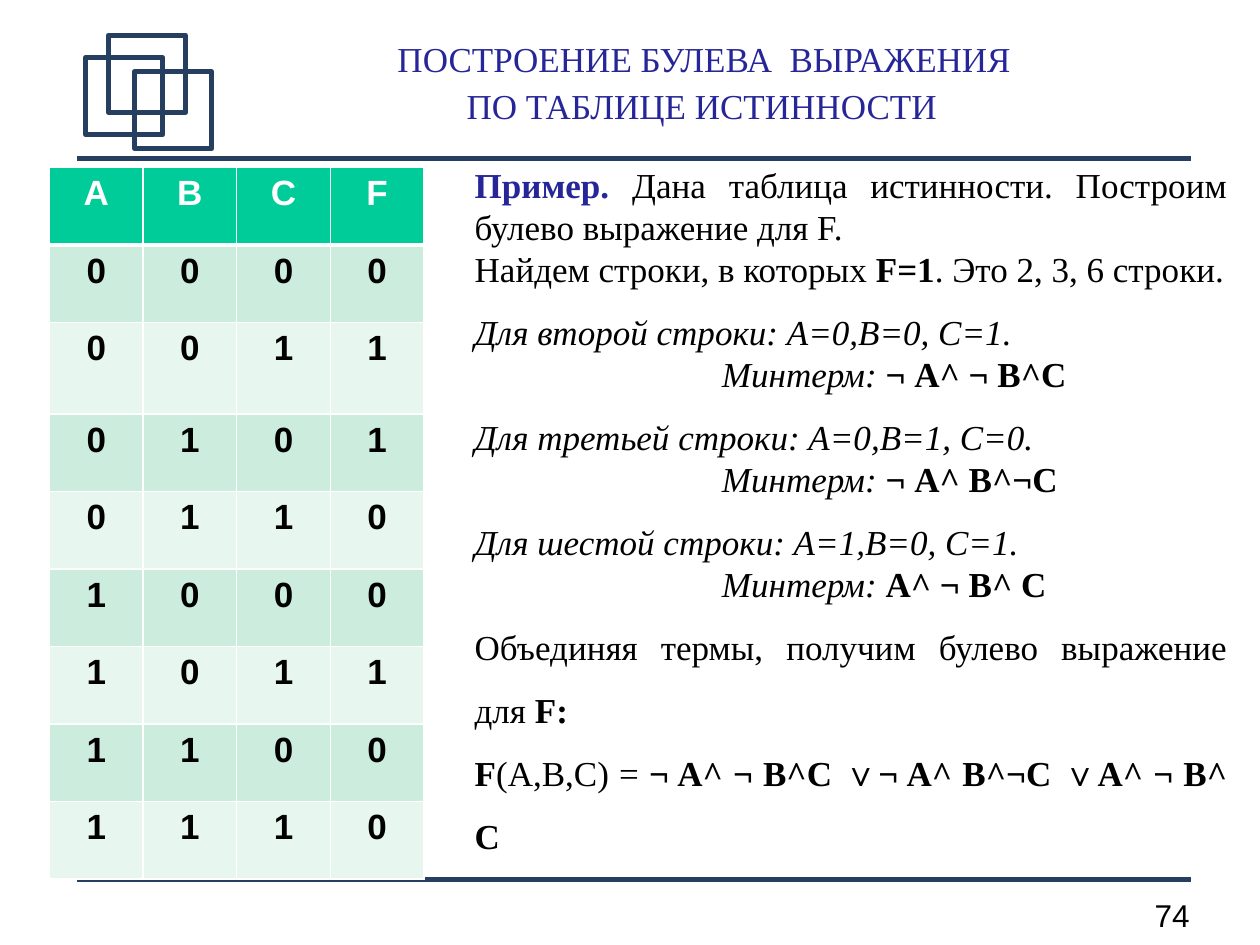
from dataclasses import dataclass

from lxml.etree import SubElement
from pptx import Presentation
from pptx.dml.color import RGBColor
from pptx.enum.shapes import MSO_CONNECTOR, MSO_SHAPE
from pptx.enum.text import MSO_ANCHOR, PP_ALIGN
from pptx.oxml.ns import qn
from pptx.util import Pt

COLORS = {
    "frame": "263E60", "heading": "262699", "ink": "000000", "white": "FFFFFF",
    "header": "00CC99", "odd": "CCECDE", "even": "E7F6EF",
}
SERIF, SANS = "Times New Roman", "Arial"
FRAME_WIDTH = 2.83
TRUTH_TABLE = ["ABCF", "0000", "0011", "0101", "0110", "1000", "1011", "1100", "1110"]
COLUMN_WIDTH, ROW_HEIGHT, TALL_ROW_HEIGHT = 53.5, 44.3, 52.3
TALL_ROW = 2


@dataclass
class Run:
    text: str
    bold: bool = False
    italic: bool = False
    font: str = SERIF
    color: str = "ink"
    size: float = 20


@dataclass
class Para:
    runs: list[Run]
    align: PP_ALIGN = PP_ALIGN.JUSTIFY
    spacing: float = 1.0
    indent: float = 0


@dataclass
class Minterm:
    row: str
    values: str
    formula: str


MINTERMS = [
    Minterm("второй", "A=0,B=0, C=1", "¬ A^ ¬ B^C"),
    Minterm("третьей", "A=0,B=1, C=0", "¬ A^ B^¬C"),
    Minterm("шестой", "A=1,B=0, C=1", "A^ ¬ B^ C"),
]


def rgb(name: str) -> RGBColor:
    return RGBColor.from_string(COLORS[name])


def add_run(paragraph, run: Run) -> None:
    part = paragraph.add_run()
    part.text = run.text
    font = part.font
    font.name, font.size = run.font, Pt(run.size)
    font.bold, font.italic = run.bold, run.italic
    font.color.rgb = rgb(run.color)


def add_text(slide, left: float, top: float, width: float, height: float,
             paras: list[Para], anchor: MSO_ANCHOR = MSO_ANCHOR.TOP) -> None:
    frame = slide.shapes.add_textbox(Pt(left), Pt(top), Pt(width), Pt(height)).text_frame
    frame.word_wrap = True
    frame.vertical_anchor = anchor
    for index, para in enumerate(paras):
        paragraph = frame.add_paragraph() if index else frame.paragraphs[0]
        paragraph.alignment, paragraph.line_spacing = para.align, para.spacing
        if para.indent:
            paragraph._p.get_or_add_pPr().set("marL", str(Pt(para.indent)))
        for run in para.runs:
            if run.text == "\n":
                paragraph.add_line_break()
            else:
                add_run(paragraph, run)


def add_rule(slide, y: float) -> None:
    rule = slide.shapes.add_connector(MSO_CONNECTOR.STRAIGHT, Pt(44), Pt(y), Pt(680.4), Pt(y))
    rule.line.color.rgb, rule.line.width = rgb("frame"), Pt(FRAME_WIDTH)
    SubElement(rule._element.spPr, qn("a:effectLst"))


def add_square(slide, left: float, top: float) -> None:
    square = slide.shapes.add_shape(
        MSO_SHAPE.ROUNDED_RECTANGLE, Pt(left), Pt(top), Pt(44), Pt(44))
    square.adjustments[0] = 0
    square.shadow.inherit = False
    square.fill.background()
    square.line.color.rgb, square.line.width = rgb("frame"), Pt(FRAME_WIDTH)


def set_borders(cell, top: float, bottom: float) -> None:
    properties = cell._tc.get_or_add_tcPr()
    widths = {"a:lnL": 1, "a:lnR": 1, "a:lnT": top, "a:lnB": bottom}
    for position, (tag, width) in enumerate(widths.items()):
        border = SubElement(properties, qn(tag), w=str(Pt(width)))
        SubElement(SubElement(border, qn("a:solidFill")), qn("a:srgbClr"), val=COLORS["white"])
        properties.insert(position, border)


def add_truth_table(slide, left: float, top: float) -> None:
    rows, columns = len(TRUTH_TABLE), len(TRUTH_TABLE[0])
    height = ROW_HEIGHT * (rows - 1) + TALL_ROW_HEIGHT
    table = slide.shapes.add_table(
        rows, columns, Pt(left), Pt(top), Pt(COLUMN_WIDTH * columns), Pt(height)).table
    for column in table.columns:
        column.width = Pt(COLUMN_WIDTH)
    for r, values in enumerate(TRUTH_TABLE):
        table.rows[r].height = Pt(TALL_ROW_HEIGHT if r == TALL_ROW else ROW_HEIGHT)
        fill = "header" if r == 0 else "odd" if r % 2 else "even"
        for c, value in enumerate(values):
            cell = table.cell(r, c)
            cell.fill.solid()
            cell.fill.fore_color.rgb = rgb(fill)
            set_borders(cell, 3 if r == 1 else 1, 3 if r == 0 else 1)
            paragraph = cell.text_frame.paragraphs[0]
            paragraph.alignment = PP_ALIGN.CENTER
            add_run(paragraph, Run(value, bold=True, font=SANS, color="ink" if r else "white"))


def explanation() -> list[Para]:
    paras = [
        Para([Run("Пример. ", bold=True, color="heading"),
              Run("Дана таблица истинности. Построим булево выражение для F.")]),
        Para([Run("Найдем строки, в которых "), Run("F=1", bold=True),
              Run(". Это 2, 3, 6 строки.")]),
    ]
    for term in MINTERMS:
        paras += [
            Para([Run(f"Для {term.row} строки: {term.values}.", italic=True)], spacing=1.5),
            Para([Run("Минтерм:", italic=True), Run(f" {term.formula}", bold=True)],
                 indent=141.3),
        ]
    result = [Run("F", bold=True), Run("(A,B,C) = ")]
    for index, term in enumerate(MINTERMS):
        if index:
            result.append(Run(" ∨", bold=True, font=SANS))
        result.append(Run(term.formula, bold=True))
    return paras + [
        Para([Run("Объединяя термы, получим булево выражение для "), Run("F:", bold=True)],
             spacing=1.5),
        Para(result, spacing=1.5),
    ]


def main() -> None:
    """Build the slide on deriving a Boolean expression from a truth table."""
    deck = Presentation()
    deck.slide_width, deck.slide_height = Pt(720), Pt(540)
    slide = deck.slides.add_slide(deck.slide_layouts[6])
    for y in (502.6, 90.7):
        add_rule(slide, y)
    add_text(slide, 608.4, 508.3, 78.5, 28.8,
             [Para([Run("74", font=SANS, size=18)], PP_ALIGN.RIGHT)])
    for left, top in ((49, 33), (62, 20.2), (77, 41)):
        add_square(slide, left, top)
    heading = [
        Run(" ", font="Cambria", color="heading", size=36),
        Run("ПОСТРОЕНИЕ БУЛЕВА  ВЫРАЖЕНИЯ ", color="heading"),
        Run("\n"),
        Run("ПО ТАБЛИЦЕ ИСТИННОСТИ", color="heading"),
    ]
    add_text(slide, 93.6, 9.4, 614.9, 61.9,
             [Para(heading, PP_ALIGN.CENTER, 0.98)], MSO_ANCHOR.MIDDLE)
    add_text(slide, 264.2, 90, 444.2, 405.4, explanation())
    add_truth_table(slide, 28.3, 95.8)
    deck.save("out.pptx")


if __name__ == "__main__":
    main()
